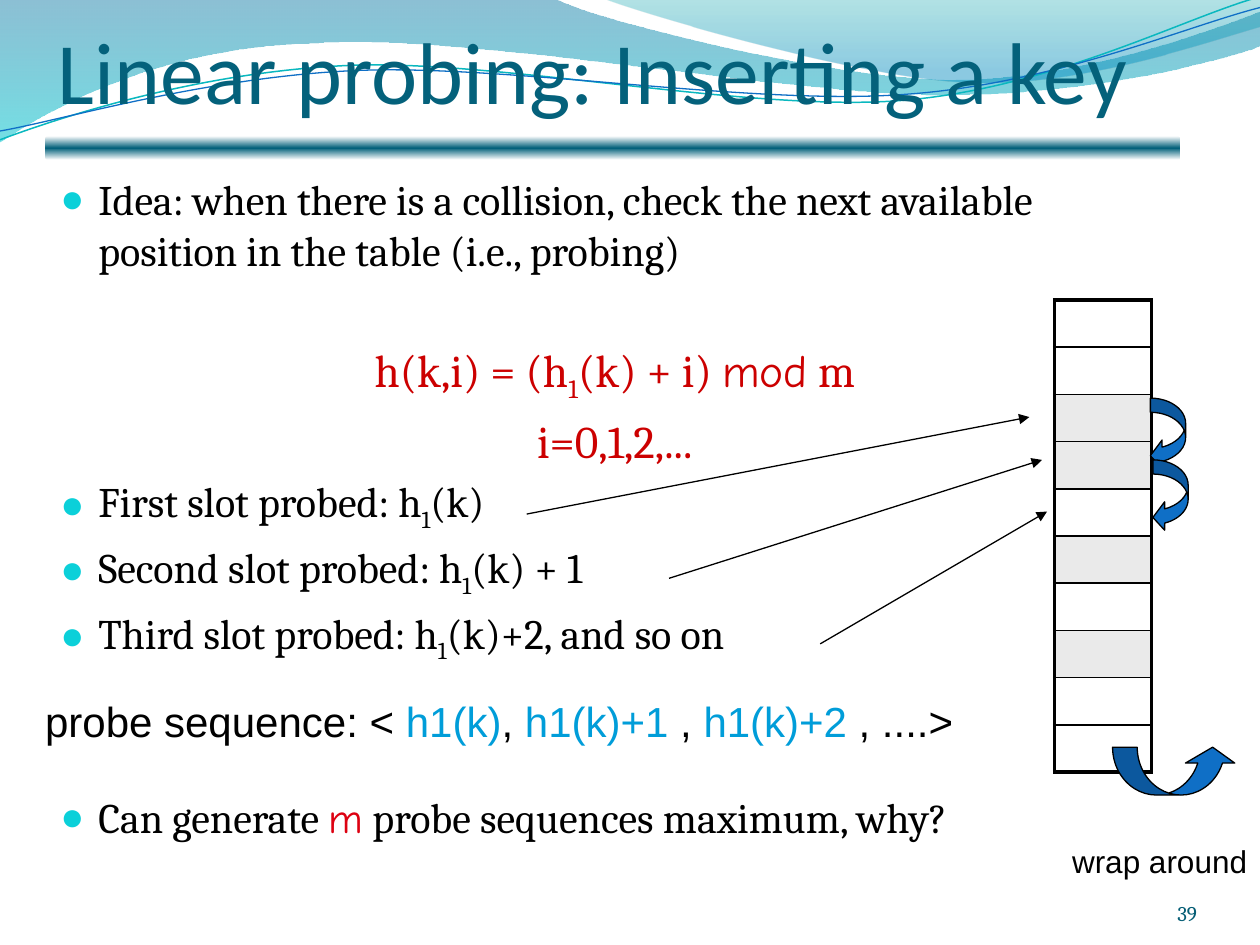
"""Build the slide on inserting a key with linear probing."""
from dataclasses import dataclass

import lxml.etree
import pptx
import pptx.dml.color
import pptx.enum.shapes
import pptx.enum.text
import pptx.oxml.ns
import pptx.util

PX = 9144
COLORS = {
    "black": "000000", "white": "FFFFFF", "teal": "04617B", "number": "045D75",
    "formula": "CC0000", "key": "DD0111", "probe": "009DD9", "bullet": "0BD0D9",
    "arrow": "0F6FC6", "occupied": "EAEAEA", "aqua": "0AB8BF",
    "wave_top": "0074A1", "wave_bottom": "00C6CF",
    "crest_top": "00A1A9", "crest_bottom": "008BBF",
}
SHAPES = pptx.enum.shapes.MSO_SHAPE
ALIGN = pptx.enum.text.PP_ALIGN
ANCHOR = pptx.enum.text.MSO_ANCHOR
qn = pptx.oxml.ns.qn


@dataclass
class Span:
    text: str
    color: str = "black"
    font: str = "Cambria"
    sub: bool = False


@dataclass
class Line:
    spans: list[Span]
    before: float = 4.8
    size: int = 24
    bullet: bool = True


@dataclass
class Stop:
    position: int
    color: str
    alpha: int = 100


@dataclass
class Wave:
    start: tuple[int, int]
    segments: list[tuple[int, ...]]
    stops: list[Stop] | None = None
    color: str = ""
    weight: float = 0


@dataclass
class Arrow:
    kind: int
    box: tuple[int, int, int, int]
    adjustments: tuple[float, float, float]


WAVES = [
    Wave((0, 0), [(440, -1), (476, 17, 664, 63, 758, 63), (853, 63, 958, 26, 1000, 9),
                  (1001, 36), (983, 44, 870, 76, 746, 75), (622, 75, 382, 28, 257, 34),
                  (129, 36, 46, 83, -1, 113)],
         [Stop(0, "wave_top", 45), Stop(100, "wave_bottom", 55)]),
    Wave((479, -1), [(509, 11, 682, 62, 769, 65), (856, 69, 961, 32, 1000, 21), (1000, 0)],
         [Stop(0, "crest_top", 30), Stop(80, "crest_bottom", 45)]),
    Wave((0, 111), [(48, 93, 158, 57, 277, 52), (395, 47, 593, 89, 713, 80),
                    (833, 71, 938, 15, 998, -2)], color="aqua", weight=0.85),
    Wave((0, 104), [(47, 96, 164, 61, 283, 56), (403, 51, 597, 84, 717, 75),
                    (836, 67, 941, 21, 1000, 6)], color="arrow", weight=0.75),
]
BODY = [
    Line([Span("Idea: when there is a collision, check the next available "
               "position in the table (i.e., probing)")], before=0),
    Line([Span("h(k,i) = (h", "formula"), Span("1", "formula", sub=True),
          Span("(k) + i) ", "formula"), Span("mod", "formula", "Comic Neue"),
          Span(" m", "formula")], before=38.3, size=26, bullet=False),
    Line([Span("i=0,1,2,...", "formula")], before=5.2, size=26, bullet=False),
    *(Line([Span(f"{order} slot probed: h"), Span("1", sub=True), Span(rest)])
      for order, rest in [("First", "(k)"), ("Second", "(k) + 1"),
                          ("Third", "(k)+2, and so on")]),
    Line([Span("Can generate "), Span("m", "key", "Comic Neue"),
          Span(" probe sequences maximum, why?")], before=72.3),
]
SEQUENCE = [Span(text, color, "Arial") for text, color in [
    ("probe sequence: < ", "black"), ("h1(k)", "probe"), (", ", "black"),
    ("h1(k)+1", "probe"), (" , ", "black"), ("h1(k)+2", "probe"), (" , ....>", "black")]]
PROBES = [(418, 408, 817, 331), (531, 459, 827, 365), (651, 511, 831, 406)]
STEP_ADJUSTMENTS = (0.404, 0.807, 0.333)
ARROWS = [
    Arrow(SHAPES.CURVED_LEFT_ARROW, (913, 316, 28, 57), STEP_ADJUSTMENTS),
    Arrow(SHAPES.CURVED_LEFT_ARROW, (915, 365, 28, 57), STEP_ADJUSTMENTS),
    Arrow(SHAPES.CURVED_UP_ARROW, (883, 593, 99, 38), (0.516, 1.032, 0.333)),
]
SLOTS = 10
OCCUPIED = {2, 3, 5, 7}


def emu(*lengths: int) -> list[int]:
    return [length * PX for length in lengths]


def rgb(name: str) -> pptx.dml.color.RGBColor:
    return pptx.dml.color.RGBColor.from_string(COLORS[name])


def add_xml(parent, tag: str, **attributes: object):
    return lxml.etree.SubElement(parent, qn(tag), {k: str(v) for k, v in attributes.items()})


def fill_gradient(shape, stops: list[Stop]) -> None:
    shape.fill.gradient()
    shape.fill.gradient_angle = 270
    stop_list = shape.element.spPr.find(".//" + qn("a:gsLst"))
    stop_list.clear()
    for stop in stops:
        mark = add_xml(stop_list, "a:gs", pos=stop.position * 1000)
        tint = add_xml(mark, "a:srgbClr", val=COLORS[stop.color])
        if stop.alpha < 100:
            add_xml(tint, "a:alpha", val=stop.alpha * 1000)


def set_line(line, color: str, weight: float) -> None:
    line.color.rgb = rgb(color)
    line.width = pptx.util.Pt(weight)


def draw_wave(shapes, wave: Wave):
    builder = shapes.build_freeform(*wave.start, scale=PX)
    builder.add_line_segments([segment[i:i + 2] for segment in wave.segments
                               for i in range(0, len(segment), 2)], close=bool(wave.stops))
    shape = builder.convert_to_shape()
    corners = iter(list(shape.element.spPr.iter(qn("a:lnTo"))))
    for segment in wave.segments:
        corner = next(corners)
        if len(segment) == 6:
            curve = lxml.etree.Element(qn("a:cubicBezTo"))
            corner.addprevious(curve)
            for handle in (corner, next(corners), next(corners)):
                curve.append(handle[0])
                handle.getparent().remove(handle)
    shape.shadow.inherit = False
    if wave.stops:
        fill_gradient(shape, wave.stops)
        shape.line.fill.background()
    else:
        shape.fill.background()
        set_line(shape.line, wave.color, wave.weight)
    return shape


def draw_rule(shapes):
    rule = shapes.add_shape(SHAPES.ROUNDED_RECTANGLE, *emu(36, 108, 901, 19))
    rule.shadow.inherit = False
    rule.line.fill.background()
    fill_gradient(rule, [Stop(0, "white"), Stop(50, "teal"), Stop(100, "white")])
    return rule


def move_to_master(master, decorations: list) -> None:
    front = master.placeholders[0].element
    for number, decoration in enumerate(decorations, 101):
        decoration.element.find(".//" + qn("p:cNvPr")).set("id", str(number))
        front.addprevious(decoration.element)


def write_spans(paragraph, spans: list[Span], size: int) -> None:
    for span in spans:
        run = paragraph.add_run()
        run.text = span.text
        run.font.size = pptx.util.Pt(size)
        run.font.name = span.font
        run.font.color.rgb = rgb(span.color)
        if span.sub:
            run._r.get_or_add_rPr().set("baseline", "-25000")


def write_body(frame, lines: list[Line]) -> None:
    for index, line in enumerate(lines):
        paragraph = frame.add_paragraph() if index else frame.paragraphs[0]
        paragraph.space_before = pptx.util.Pt(line.before)
        paragraph.alignment = ALIGN.LEFT if line.bullet else ALIGN.CENTER
        properties = paragraph._p.get_or_add_pPr()
        properties.set("marL", str(30 * PX))
        properties.set("indent", str(-30 * PX))
        if line.bullet:
            add_xml(add_xml(properties, "a:buClr"), "a:srgbClr", val=COLORS["bullet"])
            add_xml(properties, "a:buSzPct", val=95000)
            add_xml(properties, "a:buChar", char="●")
        else:
            add_xml(properties, "a:buNone")
        write_spans(paragraph, line.spans, line.size)


def add_label(shapes, box: tuple[int, ...], spans: list[Span], size: int):
    frame = shapes.add_textbox(*emu(*box)).text_frame
    frame.word_wrap = False
    write_spans(frame.paragraphs[0], spans, size)
    return frame


def draw_slots(shapes) -> None:
    table = shapes.add_table(SLOTS, 1, *emu(837, 238, 77, 375)).table
    table.first_row = table.horz_banding = False
    for row in range(SLOTS):
        cell = table.cell(row, 0)
        cell.margin_top = cell.margin_bottom = 0
        properties = cell._tc.get_or_add_tcPr()
        weights = {"L": 2.25, "R": 2.25, "T": 1 if row else 2.25,
                   "B": 1 if row < SLOTS - 1 else 2.25}
        for side, weight in weights.items():
            border = add_xml(properties, f"a:ln{side}", w=round(weight * 12700))
            add_xml(add_xml(border, "a:solidFill"), "a:srgbClr", val=COLORS["black"])
        if row in OCCUPIED:
            cell.fill.solid()
            cell.fill.fore_color.rgb = rgb("occupied")
        else:
            cell.fill.background()


def draw_arrow(shapes, arrow: Arrow) -> None:
    shape = shapes.add_shape(arrow.kind, *emu(*arrow.box))
    shape.shadow.inherit = False
    for index, value in enumerate(arrow.adjustments):
        shape.adjustments[index] = value
    shape.fill.solid()
    shape.fill.fore_color.rgb = rgb("arrow")
    set_line(shape.line, "black", 0.75)


def draw_probe(shapes, ends: tuple[int, ...]) -> None:
    probe = shapes.add_connector(pptx.enum.shapes.MSO_CONNECTOR.STRAIGHT, *emu(*ends))
    set_line(probe.line, "black", 0.75)
    add_xml(probe.line._get_or_add_ln(), "a:tailEnd", type="triangle")
    add_xml(probe.element.spPr, "a:effectLst")


def place(holder, box: tuple[int, ...]):
    holder.left, holder.top, holder.width, holder.height = emu(*box)
    holder.text_frame.auto_size = pptx.enum.text.MSO_AUTO_SIZE.NONE
    return holder.text_frame


def main() -> None:
    deck = pptx.Presentation()
    deck.slide_width, deck.slide_height = emu(1000, 750)
    slide = deck.slides.add_slide(deck.slide_layouts[1])
    shapes = slide.shapes
    decorations = [draw_wave(shapes, wave) for wave in WAVES] + [draw_rule(shapes)]
    move_to_master(deck.slide_master, decorations)

    heading = place(shapes.title, (46, 0, 900, 97))
    heading.margin_left = heading.margin_right = heading.margin_bottom = 0
    heading.vertical_anchor = ANCHOR.BOTTOM
    heading.paragraphs[0].alignment = ALIGN.LEFT
    write_spans(heading.paragraphs[0],
                [Span("Linear probing: Inserting a key", "teal", "Calibri")], 50)
    write_body(place(slide.placeholders[1], (38, 133, 900, 555)), BODY)

    number = add_label(shapes, (867, 695, 83, 40), [Span("39", "number")], 12)
    number.word_wrap = True
    number.margin_left = number.margin_right = number.margin_top = number.margin_bottom = 0
    number.vertical_anchor = ANCHOR.BOTTOM
    number.paragraphs[0].alignment = ALIGN.RIGHT
    draw_slots(shapes)
    for arrow in ARROWS:
        draw_arrow(shapes, arrow)
    add_label(shapes, (26, 547, 741, 50), SEQUENCE, 24)
    for ends in PROBES:
        draw_probe(shapes, ends)
    add_label(shapes, (841, 663, 159, 40), [Span("wrap around", font="Arial")], 18)
    deck.save("out.pptx")


if __name__ == "__main__":
    main()
